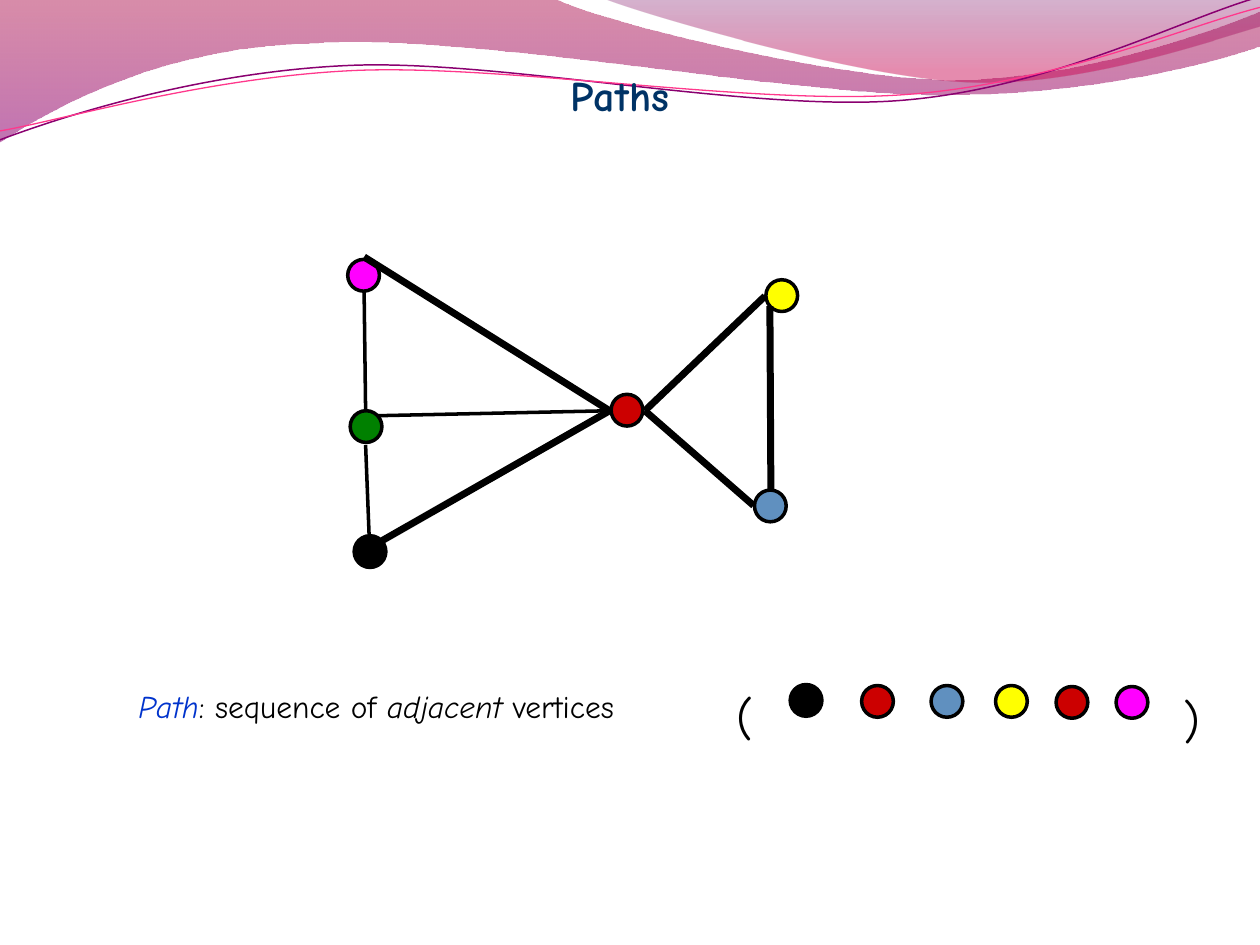
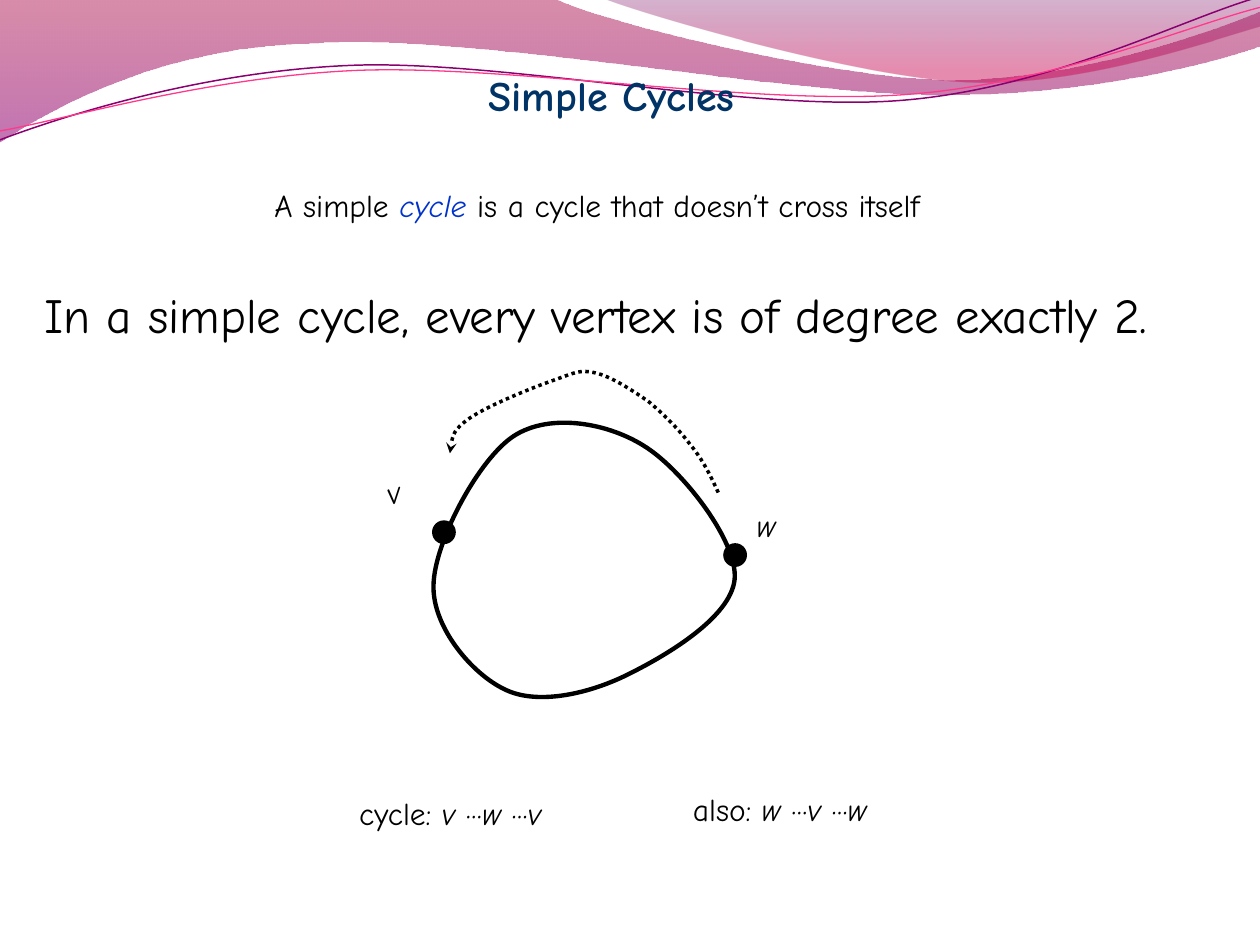
from dataclasses import dataclass
from typing import NamedTuple

from lxml import etree
from pptx import Presentation
from pptx import util as u
from pptx.dml import color as dml
from pptx.enum import dml as enum_dml, shapes, text
from pptx.oxml import ns

FONT = "Comic Neue"
COLORS = {
    "black": "000000", "title": "003366", "term": "0033CC",
    "yellow": "FFFF00", "blue": "6090BF", "green": "008000",
    "magenta": "FF00FF", "red": "CC0000",
    "crimson": "A90042", "purple": "8E0073", "plum": "73005E", "rose": "C9004F",
    "violet line": "8A0070", "pink line": "FF388C",
}
VERTEX_SIZE = 0.64
POINT_SIZE = 0.48


class Span(NamedTuple):
    """A stretch of text with one format."""
    words: str
    italic: bool = False
    color: str = "black"


class Stop(NamedTuple):
    """A gradient stop; position and opacity run from 0 to 1."""
    position: float
    color: str
    opacity: float


class Edge(NamedTuple):
    """A graph edge between two points, with its width in points."""
    start: tuple[float, float]
    end: tuple[float, float]
    width: float


class Dot(NamedTuple):
    """A filled circle placed by its top left corner."""
    left: float
    top: float
    color: str


@dataclass(frozen=True)
class Label:
    """A text box with its spans."""
    left: float
    top: float
    width: float
    height: float
    spans: tuple[Span, ...]
    size: float = 18
    rotation: float = 0


@dataclass(frozen=True)
class Curve:
    """An outline whose segments hold one point (line) or three (Bézier)."""
    segments: tuple[tuple[float, ...], ...]
    stops: tuple[Stop, ...] = ()
    line: str = ""
    width: float = 0
    closed: bool = False
    dotted_arrow: bool = False


BAND = (
    Curve(((0, 0), (11.18, -0.03),
           (12.09, 0.43, 16.87, 1.6, 19.25, 1.6),
           (21.67, 1.6, 24.33, 0.66, 25.4, 0.23), (25.43, 0.91),
           (24.97, 1.12, 22.1, 1.93, 18.95, 1.91),
           (15.8, 1.91, 9.7, 0.71, 6.53, 0.86),
           (3.28, 0.91, 1.17, 2.11, -0.03, 2.87)),
          stops=(Stop(0, "crimson", 0.45), Stop(1, "purple", 0.55)), closed=True),
    Curve(((12.17, -0.03),
           (12.93, 0.28, 17.32, 1.57, 19.53, 1.65),
           (21.74, 1.75, 24.41, 0.81, 25.4, 0.53), (25.4, 0)),
          stops=(Stop(0, "plum", 0.3), Stop(0.8, "rose", 0.45)), closed=True),
    Curve(((0, 2.82),
           (1.22, 2.36, 4.01, 1.45, 7.04, 1.32),
           (10.03, 1.19, 15.06, 2.26, 18.11, 2.03),
           (21.16, 1.8, 23.83, 0.38, 25.35, -0.05)),
          line="violet line", width=0.85),
    Curve(((0, 2.64),
           (1.19, 2.44, 4.17, 1.55, 7.19, 1.42),
           (10.24, 1.3, 15.16, 2.13, 18.21, 1.91),
           (21.23, 1.7, 23.9, 0.53, 25.4, 0.15)),
          line="pink line", width=0.75),
)

VERTICES = (
    Dot(15.44, 5.64, "yellow"), Dot(15.21, 9.88, "blue"),
    Dot(7.06, 8.28, "green"), Dot(7.01, 5.23, "magenta"),
    Dot(7.14, 10.8, "black"), Dot(12.32, 7.95, "red"),
)
RED_LEFT, RED_RIGHT = (12.29, 8.28), (13, 8.28)
EDGES = (
    Edge((7.37, 8.97), (7.44, 10.77), 2),
    Edge((15.52, 6.17), (15.54, 9.86), 4),
    Edge((15.42, 5.97), RED_RIGHT, 4),
    Edge(RED_RIGHT, (15.19, 10.19), 4),
    Edge(RED_LEFT, (7.7, 10.9), 4),
    Edge(RED_LEFT, (7.34, 5.18), 4),
    Edge((7.62, 8.38), RED_LEFT, 2),
    Edge((7.34, 5.89), (7.37, 8.26), 2),
)
PATH_SEQUENCE = (
    Dot(15.93, 13.8, "black"), Dot(17.37, 13.82, "red"),
    Dot(18.77, 13.82, "blue"), Dot(20.07, 13.82, "yellow"),
    Dot(21.29, 13.84, "red"), Dot(22.5, 13.84, "magenta"),
)
PATH_LABELS = (
    Label(2.54, 13.72, 11.23, 1.32, (
        Span("Path", True, "term"), Span(": sequence of "),
        Span("adjacent", True), Span(" vertices"))),
    Label(14.6, 13.72, 0.74, 1.02, (Span("("),), size=28),
    Label(23.6, 13.77, 0.74, 1.02, (Span(")"),), size=28),
)

CYCLE = Curve(
    ((8.74, 11.79),
     (8.76, 10.92, 9.65, 9.25, 10.36, 8.79),
     (11.1, 8.31, 12.29, 8.53, 13.03, 9.02),
     (13.77, 9.5, 14.88, 10.92, 14.81, 11.68),
     (14.73, 12.47, 13.36, 13.26, 12.57, 13.64),
     (11.81, 14, 10.8, 14.22, 10.16, 13.89),
     (9.53, 13.59, 8.71, 12.65, 8.74, 11.79)),
    line="black", width=2.5, closed=True)
DIRECTION = Curve(
    ((14.48, 9.93),
     (14.33, 9.6, 14.17, 9.27, 13.92, 8.97),
     (13.69, 8.66, 13.39, 8.36, 13.08, 8.1),
     (12.75, 7.87, 12.32, 7.59, 12.01, 7.52),
     (11.68, 7.44, 11.58, 7.52, 11.15, 7.67),
     (10.72, 7.82, 9.83, 8.18, 9.47, 8.43),
     (9.14, 8.66, 9.09, 8.89, 9.07, 9.14)),
    line="black", width=2, dotted_arrow=True)
CYCLE_POINTS = (Dot(14.58, 10.95, "black"), Dot(8.71, 10.49, "black"))


def round_trip(intro: str, start: str, via: str) -> tuple[Span, ...]:
    """Return the spans that name a cycle from start through via and back."""
    return (Span(intro), Span(f" {start}", True), Span(" ···"),
            Span(f"{via} ", True), Span("···"), Span(start, True))


CYCLE_LABELS = (
    Label(5.28, 3.63, 14.96, 1.02, (
        Span("A simple "), Span("cycle", True, "term"),
        Span(" is a cycle that doesn’t cross itself"))),
    Label(0.64, 5.61, 24.33, 2.64, (
        Span("In a simple cycle, every vertex is of degree exactly 2."),), size=28),
    Label(7.54, 9.4, 0.81, 1.02, (Span("v", True),), rotation=346.5),
    Label(15.01, 10.08, 0.94, 1.02, (Span("w", True),)),
    Label(6.99, 15.88, 4.78, 1.02, round_trip("cycle:", "v", "w")),
    Label(13.72, 15.8, 4.55, 1.02, round_trip("also:", "w", "v")),
)


def rgb(name: str) -> dml.RGBColor:
    """Return the named colour."""
    return dml.RGBColor.from_string(COLORS[name])


def format_span(span, size: float, color: str, bold: bool = False, italic: bool = False) -> None:
    """Set the font of one run."""
    font = span.font
    font.name, font.size = FONT, u.Pt(size)
    font.bold, font.italic = bold, italic
    font.color.rgb = rgb(color)


def add_title(slide, words: str, left: float, width: float) -> None:
    """Move and format the title placeholder."""
    title = slide.shapes.title
    title.left, title.top = u.Cm(left), u.Cm(1.27)
    title.width, title.height = u.Cm(width), u.Cm(1.27)
    frame = title.text_frame
    frame.text = words
    frame.word_wrap = True
    frame.auto_size = text.MSO_AUTO_SIZE.NONE
    frame.vertical_anchor = text.MSO_ANCHOR.TOP
    para = frame.paragraphs[0]
    para.alignment = text.PP_ALIGN.LEFT
    format_span(para.runs[0], 24, "title", bold=True)


def add_label(slide, label: Label) -> None:
    """Draw a text box."""
    box = slide.shapes.add_textbox(u.Cm(label.left), u.Cm(label.top),
                                   u.Cm(label.width), u.Cm(label.height))
    box.rotation = label.rotation
    box.text_frame.word_wrap = True
    para = box.text_frame.paragraphs[0]
    for part in label.spans:
        span = para.add_run()
        span.text = part.words
        format_span(span, label.size, part.color, italic=part.italic)


def add_dot(slide, dot: Dot, size: float, outline: float = 0) -> None:
    """Draw a circle, outlined in black when a width is given."""
    circle = slide.shapes.add_shape(shapes.MSO_SHAPE.OVAL, u.Cm(dot.left), u.Cm(dot.top),
                                    u.Cm(size), u.Cm(size))
    circle.shadow.inherit = False
    circle.fill.solid()
    circle.fill.fore_color.rgb = rgb(dot.color)
    if outline:
        circle.line.color.rgb = rgb("black")
        circle.line.width = u.Pt(outline)
    else:
        circle.line.fill.background()


def add_edge(slide, edge: Edge) -> None:
    """Draw a straight black edge."""
    ends = [u.Cm(value) for value in (*edge.start, *edge.end)]
    line = slide.shapes.add_connector(shapes.MSO_CONNECTOR.STRAIGHT, *ends)
    line.line.color.rgb = rgb("black")
    line.line.width = u.Pt(edge.width)
    etree.SubElement(line.element.spPr, ns.qn("a:effectLst"))


def fill_gradient(shape, stops: tuple[Stop, ...]) -> None:
    """Fill a shape from top to bottom with translucent stops."""
    shape.fill.gradient()
    shape.fill.gradient_angle = 270
    for target, stop in zip(shape.fill.gradient_stops, stops):
        target.position = stop.position
        target.color.rgb = rgb(stop.color)
    for node, stop in zip(shape.element.spPr.iter(ns.qn("a:srgbClr")), stops):
        etree.SubElement(node, ns.qn("a:alpha"), val=str(round(stop.opacity * 100000)))


def add_curve(slide, curve: Curve):
    """Draw an outline, turning each three-point segment into a Bézier."""
    start, *segments = curve.segments
    points = [(u.Cm(x), u.Cm(y)) for part in segments for x, y in zip(part[::2], part[1::2])]
    builder = slide.shapes.build_freeform(u.Cm(start[0]), u.Cm(start[1]))
    builder.add_line_segments(points, close=curve.closed)
    shape = builder.convert_to_shape()
    steps = iter(list(shape.element.iter(ns.qn("a:lnTo"))))
    for part in segments:
        first, *others = [next(steps) for _ in range(len(part) // 2)]
        if others:
            first.tag = ns.qn("a:cubicBezTo")
        for step in others:
            first.append(step[0])
            step.getparent().remove(step)
    shape.shadow.inherit = False
    if curve.stops:
        fill_gradient(shape, curve.stops)
    else:
        shape.fill.background()
    if curve.line:
        shape.line.color.rgb = rgb(curve.line)
        shape.line.width = u.Pt(curve.width)
    else:
        shape.line.fill.background()
    if curve.dotted_arrow:
        shape.line.dash_style = enum_dml.MSO_LINE.ROUND_DOT
        outline = shape.element.spPr.find(ns.qn("a:ln"))
        etree.SubElement(outline, ns.qn("a:tailEnd"), type="stealth")
    return shape


def add_band(layout, slide) -> None:
    """Build the wave band on a slide and move it to the shared layout."""
    for number, curve in enumerate(BAND, start=100):
        element = add_curve(slide, curve).element
        element.nvSpPr.cNvPr.set("id", str(number))
        layout.shapes.element.append(element)


def main() -> None:
    """Build the two slides and save them."""
    deck = Presentation()
    deck.slide_width, deck.slide_height = u.Cm(25.4), u.Cm(19.05)
    layout = deck.slide_layouts.get_by_name("Title Only")

    paths = deck.slides.add_slide(layout)
    add_band(layout, paths)
    add_title(paths, "Paths", 11.25, 2.72)
    for dot in VERTICES + PATH_SEQUENCE:
        add_dot(paths, dot, VERTEX_SIZE, outline=2)
    for edge in EDGES:
        add_edge(paths, edge)
    for label in PATH_LABELS:
        add_label(paths, label)

    cycles = deck.slides.add_slide(layout)
    add_title(cycles, "Simple Cycles", 9.6, 6.07)
    for curve in (CYCLE, DIRECTION):
        add_curve(cycles, curve)
    for dot in CYCLE_POINTS:
        add_dot(cycles, dot, POINT_SIZE)
    for label in CYCLE_LABELS:
        add_label(cycles, label)

    deck.save("out.pptx")


if __name__ == "__main__":
    main()
